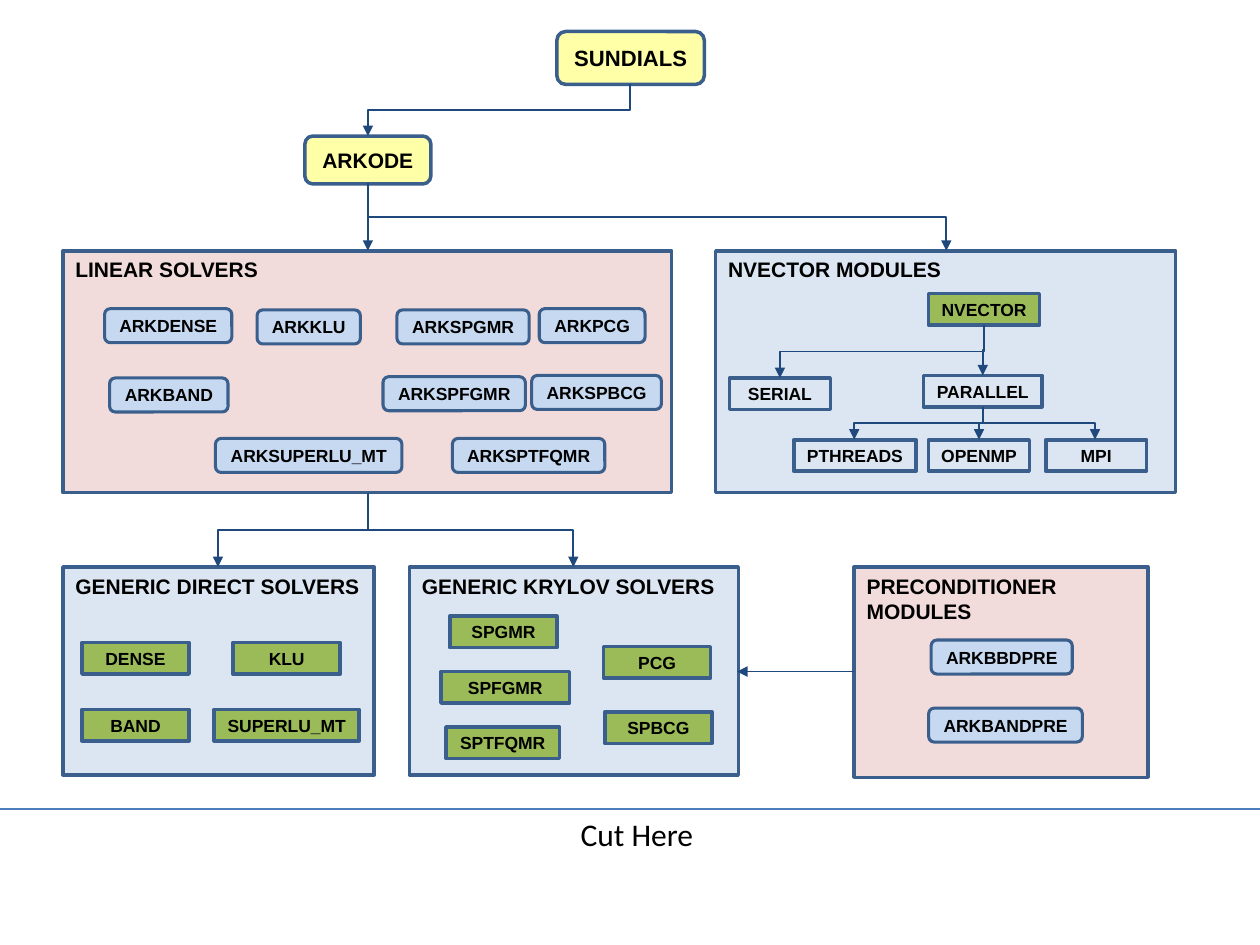
from dataclasses import dataclass

from lxml import etree
from pptx import Presentation
from pptx.dml.color import RGBColor
from pptx.enum.shapes import MSO_CONNECTOR, MSO_SHAPE
from pptx.enum.text import MSO_ANCHOR, PP_ALIGN
from pptx.oxml.ns import qn
from pptx.util import Inches, Pt

RECTANGLE = MSO_SHAPE.RECTANGLE
ROUNDED = MSO_SHAPE.ROUNDED_RECTANGLE
STRAIGHT = MSO_CONNECTOR.STRAIGHT
ELBOW = MSO_CONNECTOR.ELBOW
CENTER, LEFT = PP_ALIGN.CENTER, PP_ALIGN.LEFT
MIDDLE, TOP = MSO_ANCHOR.MIDDLE, MSO_ANCHOR.TOP

COLORS = {
    "yellow": "FFFF00",
    "pink": "F2DCDB",
    "pale": "DCE6F2",
    "green": "9BBB59",
    "blue": "C6D9F1",
    "border": "3A5F8C",
    "arrow": "1F497D",
    "cut": "4B7EBC",
    "text": "000000",
}


@dataclass(frozen=True)
class Style:
    shape: int
    fill: str | None
    size: float = 10
    border: float = 2
    align: int = CENTER
    anchor: int = MIDDLE
    wrap: bool = False
    opacity: int = 100


@dataclass(frozen=True)
class Node:
    text: str
    style: Style
    left: float
    top: float
    width: float
    height: float


@dataclass(frozen=True)
class Arrow:
    start: tuple[float, float]
    end: tuple[float, float]


PACKAGE = Style(ROUNDED, "yellow", 12.6, opacity=34)
INTEGRATOR = Style(ROUNDED, "yellow", 12, opacity=34)
PINK_PANEL = Style(RECTANGLE, "pink", 12, align=LEFT, anchor=TOP, wrap=True)
PALE_PANEL = Style(RECTANGLE, "pale", 12, align=LEFT, anchor=TOP, wrap=True)
GENERIC = Style(RECTANGLE, "green")
VECTOR = Style(RECTANGLE, None)
INTERFACE = Style(ROUNDED, "blue", border=1.75)

HEADS = [
    Node("SUNDIALS", PACKAGE, 4.42, 0.25, 1.17, 0.42),
    Node("ARKODE", INTEGRATOR, 2.42, 1.08, 1, 0.38),
]
PANELS = [
    Node("LINEAR SOLVERS", PINK_PANEL, 0.5, 1.99, 4.83, 1.92),
    Node("NVECTOR MODULES", PALE_PANEL, 5.68, 1.99, 3.65, 1.92),
    Node("GENERIC DIRECT SOLVERS", PALE_PANEL, 0.5, 4.5, 2.47, 1.65),
    Node("PRECONDITIONER MODULES", PINK_PANEL, 6.78, 4.5, 2.33, 1.67),
    Node("GENERIC KRYLOV SOLVERS", PALE_PANEL, 3.25, 4.5, 2.61, 1.65),
]
LABELS = {
    (GENERIC, 0.25): [
        ("NVECTOR", 7.37, 2.33, 0.88),
        ("DENSE", 0.65, 5.1, 0.85),
        ("KLU", 1.85, 5.1, 0.85),
        ("BAND", 0.65, 5.63, 0.85),
        ("SUPERLU_MT", 1.7, 5.63, 1.15),
        ("SPGMR", 3.57, 4.89, 0.85),
        ("SPFGMR", 3.5, 5.33, 1.02),
        ("SPTFQMR", 3.54, 5.77, 0.9),
        ("PCG", 4.79, 5.13, 0.85),
        ("SPBCG", 4.8, 5.65, 0.85),
    ],
    (VECTOR, 0.25): [
        ("SERIAL", 5.79, 3, 0.8),
        ("PARALLEL", 7.33, 2.98, 0.94),
        ("PTHREADS", 6.3, 3.49, 0.97),
        ("OPENMP", 7.37, 3.49, 0.8),
        ("MPI", 8.3, 3.49, 0.8),
    ],
    (INTERFACE, 0.27): [
        ("ARKDENSE", 0.83, 2.45, 1.01),
        ("ARKKLU", 2.04, 2.46, 0.82),
        ("ARKSPGMR", 3.15, 2.46, 1.05),
        ("ARKPCG", 4.28, 2.45, 0.84),
        ("ARKBAND", 0.87, 3, 0.94),
        ("ARKSPFGMR", 3.04, 2.99, 1.13),
        ("ARKSPBCG", 4.22, 2.98, 1.03),
        ("ARKSUPERLU_MT", 1.71, 3.48, 1.48),
        ("ARKSPTFQMR", 3.59, 3.48, 1.21),
        ("ARKBBDPRE", 7.39, 5.08, 1.12),
        ("ARKBANDPRE", 7.37, 5.62, 1.22),
    ],
}
ARROWS = [
    Arrow((5, 0.67), (2.92, 1.08)),
    Arrow((2.92, 1.45), (2.92, 1.99)),
    Arrow((2.92, 1.45), (7.51, 1.99)),
    Arrow((7.81, 2.58), (7.8, 2.98)),
    Arrow((7.81, 2.58), (6.19, 3)),
    Arrow((7.8, 3.23), (6.78, 3.49)),
    Arrow((7.8, 3.23), (7.77, 3.49)),
    Arrow((7.8, 3.23), (8.69, 3.49)),
    Arrow((2.92, 3.91), (1.73, 4.5)),
    Arrow((2.92, 3.91), (4.55, 4.5)),
    Arrow((6.78, 5.33), (5.85, 5.33)),
]


def color(name: str) -> RGBColor:
    return RGBColor.from_string(COLORS[name])


def write(box, text: str, align: int, size: float, font: str, bold: bool) -> None:
    para = box.text_frame.paragraphs[0]
    para.alignment = align
    span = para.add_run()
    span.text = text
    for name, value in {"name": font, "size": Pt(size), "bold": bold}.items():
        setattr(span.font, name, value)
    span.font.color.rgb = color("text")


def draw_node(page, node: Node) -> None:
    style = node.style
    lengths = map(Inches, (node.left, node.top, node.width, node.height))
    box = page.shapes.add_shape(style.shape, *lengths)
    box.shadow.inherit = False
    if style.fill:
        box.fill.solid()
        box.fill.fore_color.rgb = color(style.fill)
    else:
        box.fill.background()
    if style.opacity < 100:
        tint = box._element.spPr.find(qn("a:solidFill"))[0]
        etree.SubElement(tint, qn("a:alpha"), val=str(style.opacity * 1000))
    box.line.color.rgb = color("border")
    box.line.width = Pt(style.border)
    frame_format = {
        "word_wrap": style.wrap,
        "vertical_anchor": style.anchor,
        "margin_right": Inches(0.05 if style.wrap else 0.1),
    }
    for name, value in frame_format.items():
        setattr(box.text_frame, name, value)
    write(box, node.text, style.align, style.size, "Arial", True)


def draw_line(page, kind: int, ends: tuple, tint: str, width: float):
    line = page.shapes.add_connector(kind, *map(Inches, ends))
    line.line.color.rgb = color(tint)
    line.line.width = Pt(width)
    etree.SubElement(line._element.spPr, qn("a:effectLst"))
    return line


def draw_arrow(page, arrow: Arrow) -> None:
    (x1, y1), (x2, y2) = arrow.start, arrow.end
    if x1 == x2 or y1 == y2:
        line = draw_line(page, STRAIGHT, (x1, y1, x2, y2), "arrow", 1)
    else:
        half_run, half_drop = abs(x2 - x1) / 2, (y2 - y1) / 2
        middle_x, middle_y = (x1 + x2) / 2, (y1 + y2) / 2
        side = 1 if x2 > x1 else -1
        ends = (middle_x + side * half_drop, middle_y - half_run,
                middle_x - side * half_drop, middle_y + half_run)
        line = draw_line(page, ELBOW, ends, "arrow", 1)
        turn = 270 if side > 0 else 90
        line._element.spPr.find(qn("a:xfrm")).set("rot", str(turn * 60000))
    outline = line._element.spPr.find(qn("a:ln"))
    etree.SubElement(outline, qn("a:tailEnd"), type="triangle")


deck = Presentation()
deck.slide_width, deck.slide_height = Inches(10), Inches(7.5)
page = deck.slides.add_slide(deck.slide_layouts[6])

for node in HEADS + PANELS:
    draw_node(page, node)
for (style, height), labels in LABELS.items():
    for text, left, top, width in labels:
        draw_node(page, Node(text, style, left, top, width, height))
for arrow in ARROWS:
    draw_arrow(page, arrow)

draw_line(page, STRAIGHT, (0, 6.42, 10, 6.42), "cut", 0.75)
caption = page.shapes.add_textbox(*map(Inches, (3.83, 6.42, 2.45, 0.4)))
caption.text_frame.word_wrap = True
write(caption, "Cut Here", CENTER, 18, "Calibri", False)

deck.save("out.pptx")
